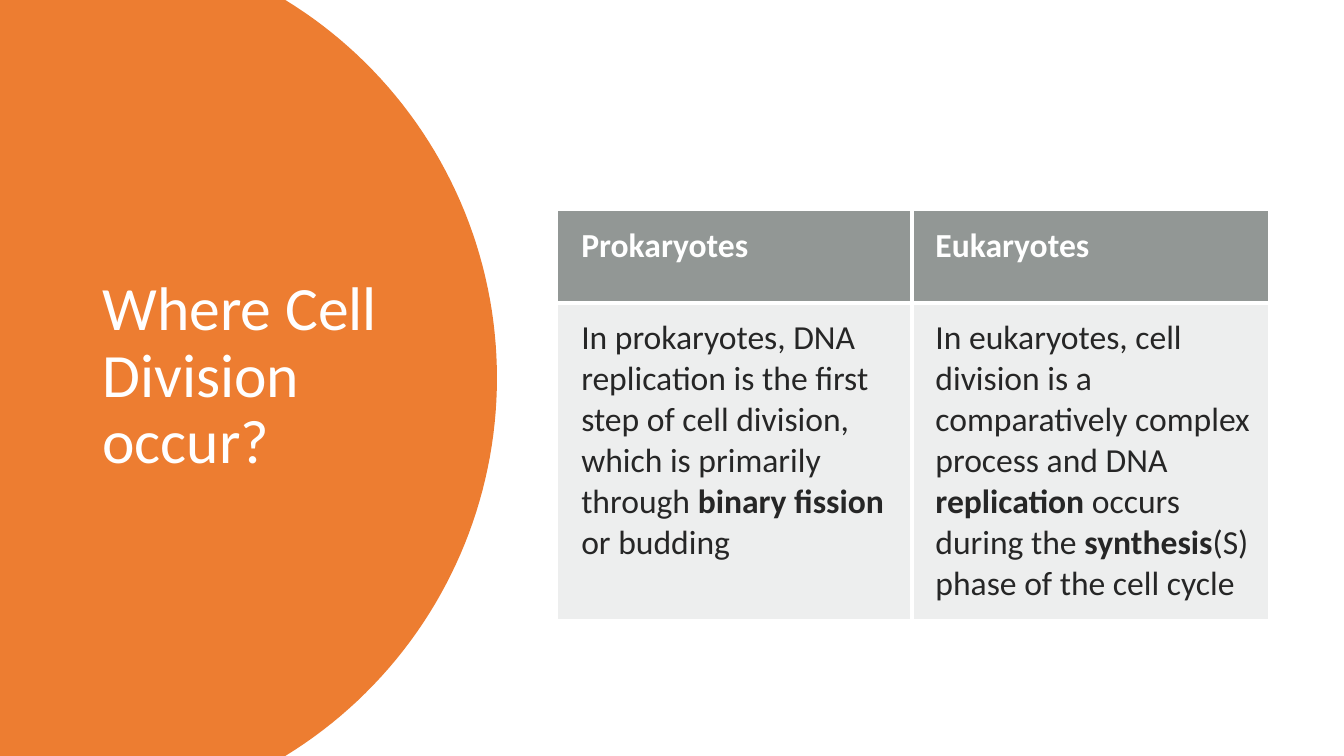
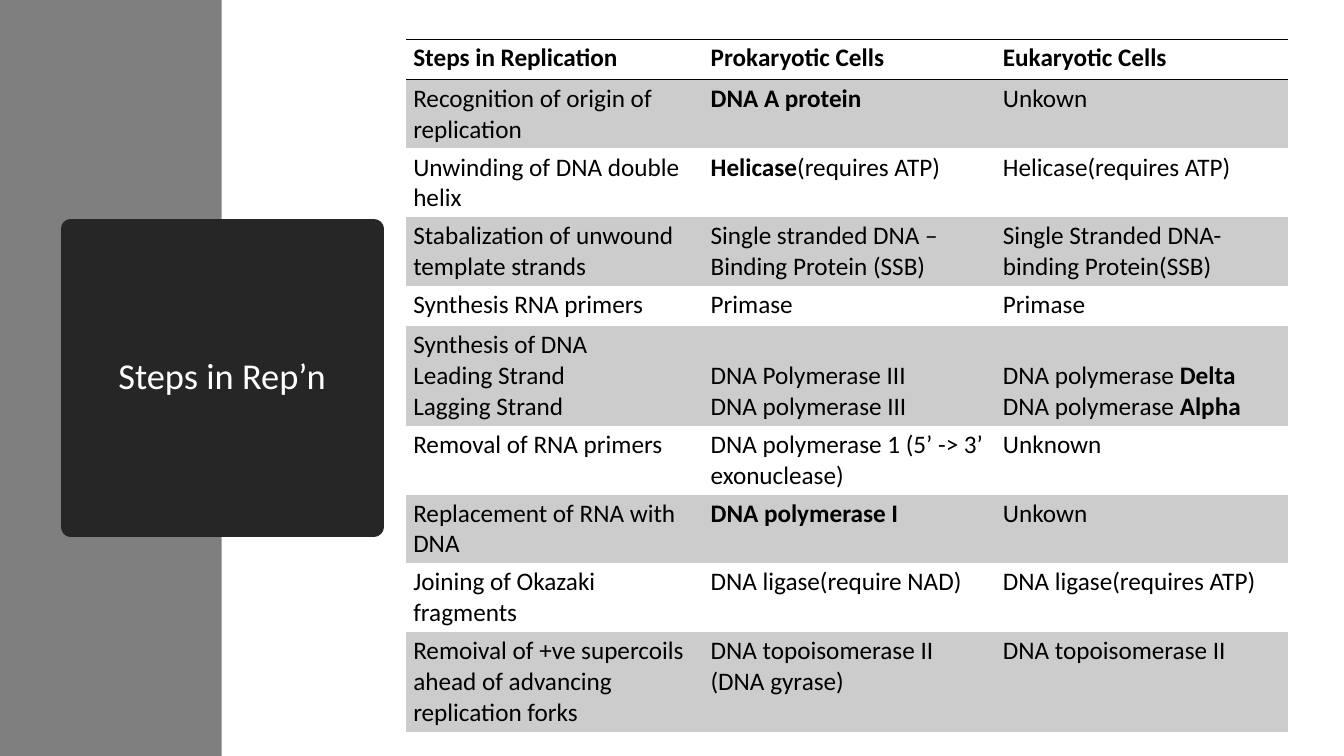
from dataclasses import dataclass
from math import asin, cos, sin
from lxml.etree import SubElement
from pptx import Presentation
from pptx.dml.color import RGBColor as RGB
from pptx.enum.shapes import MSO_SHAPE as Shape
from pptx.enum.text import MSO_ANCHOR as Anchor, MSO_AUTO_SIZE as Auto, PP_ALIGN as Align
from pptx.oxml.ns import qn
from pptx.util import Pt


@dataclass(frozen=True)
class Theme:
    """Colours, type sizes and page size shared by the slides."""
    font: str = "Calibri"
    white: str = "FFFFFF"
    black: str = "000000"
    dark: str = "262626"
    orange: str = "ED7D31"
    gray: str = "7F7F7F"
    head: str = "929795"
    pale: str = "EDEEEE"
    band: str = "CCCCCC"
    big: float = 44
    mid: float = 26
    text: float = 24
    small: float = 18
    wide: float = 960
    high: float = 540


@dataclass(frozen=True)
class Look:
    """Type, insets, fills and edges of one table."""
    size: float
    ink: str
    head_ink: str
    pads: tuple
    fills: tuple
    head_fill: str
    head_edges: dict
    body_edges: dict


T = Theme()
PLAIN = "{2D5ABB26-0587-4C30-8999-92F81FD0307C}"
SPLIT = Look(T.text, T.dark, T.white, (16.6, 10.2, 10.2, 10.2), (T.pale,), T.head,
             {"lnL": (T.white, 3), "lnR": (T.white, 3), "lnB": (T.white, 3)},
             {"lnL": (T.white, 3), "lnR": (T.white, 3), "lnT": (T.white, 3)})
STEPS = Look(T.small, T.black, T.black, (5.2, 2.6, 5.2, 2.6), (T.band, None), None,
             {"lnT": (T.black, 1), "lnB": (T.black, 1)}, {})
HIGHS = {1: 28.8, 2: 48.9, 3: 70.7}

CELLS = [
    ("Prokaryotes", "Eukaryotes"),
    ("In prokaryotes, DNA replication is the first step of cell division, "
     "which is primarily through **binary fission **or budding",
     "In eukaryotes, cell division is a comparatively complex process and DNA "
     "**replication** occurs during the **synthesis**(S) phase of the cell cycle"),
]
ROWS = [
    (1, "Steps in Replication", "Prokaryotic Cells", "Eukaryotic Cells"),
    (2, "Recognition of origin of replication", "**DNA A protein**", "Unkown"),
    (2, "Unwinding of DNA double helix", "**Helicase**(requires ATP)",
     "Helicase(requires ATP)"),
    (2, "Stabalization of unwound template strands",
     "Single stranded DNA –Binding Protein (SSB)",
     "Single Stranded DNA-binding Protein(SSB)"),
    (1, "Synthesis RNA primers", "Primase", "Primase"),
    (3, "Synthesis of DNA\nLeading Strand\nLagging Strand",
     "DNA Polymerase III\nDNA polymerase III",
     "DNA polymerase **Delta**\nDNA polymerase **Alpha**"),
    (2, "Removal of RNA primers", "DNA polymerase 1 (5’ -> 3’ exonuclease)", "Unknown"),
    (2, "Replacement of RNA with DNA", "**DNA polymerase I**", "Unkown"),
    (2, "Joining of Okazaki fragments", "DNA ligase(require NAD)",
     "DNA ligase(requires ATP)"),
    (3, "Remoival of +ve supercoils ahead of advancing replication forks",
     "DNA topoisomerase II\n(DNA gyrase)", "DNA topoisomerase II"),
]
STRANDS = 5


def paint(shape, hue):
    """Give a shape a flat fill with no line or shadow."""
    shape.shadow.inherit = False
    shape.fill.solid()
    shape.fill.fore_color.rgb = RGB.from_string(hue)
    shape.line.fill.background()


def style(font, size, hue, bold=False):
    """Set the shared face with a size, colour and weight."""
    font.name, font.size, font.bold = T.font, Pt(size), bold
    font.color.rgb = RGB.from_string(hue)


def head(slide, box, text, size, align, back):
    """Place the title in its box, in front of the backdrop."""
    title = slide.shapes.title
    title.left, title.top, title.width, title.height = map(Pt, box)
    frame = title.text_frame
    frame.text = text
    frame.word_wrap, frame.auto_size = True, Auto.NONE
    frame.vertical_anchor = Anchor.MIDDLE
    para = frame.paragraphs[0]
    para.alignment, para.line_spacing = align, 0.9
    style(para.runs[0].font, size, T.white)
    back.element.addnext(title.element)
    return title


def write(frame, text, size, hue, bold):
    """Write lines into a frame, with ** around bold words."""
    for i, line in enumerate(text.split("\n")):
        para = frame.add_paragraph() if i else frame.paragraphs[0]
        for j, part in enumerate(line.split("**")):
            if part:
                run = para.add_run()
                run.text = part
                style(run.font, size, hue, bold or j % 2 == 1)


def edge(cell, sides):
    """Draw the given sides of a cell in schema order."""
    props = cell._tc.get_or_add_tcPr()
    for side in ("lnL", "lnR", "lnT", "lnB"):
        if side in sides:
            hue, width = sides[side]
            line = SubElement(props, qn("a:" + side), w=str(Pt(width)))
            fill = SubElement(line, qn("a:solidFill"))
            SubElement(fill, qn("a:srgbClr"), val=hue)


def inner(sides, col, last):
    """Drop the outer left and right sides."""
    skip = {"lnL"} if col == 0 else {"lnR"} if col == last else set()
    return {side: pen for side, pen in sides.items() if side not in skip}


def grid(slide, spot, wides, highs, rows, look):
    """Place a table at a spot and return it."""
    box = (*spot, sum(wides), sum(highs))
    table = slide.shapes.add_table(len(rows), len(wides), *map(Pt, box)).table
    table.horz_banding = False
    table._tbl.tblPr.find(qn("a:tableStyleId")).text = PLAIN
    for col, wide in zip(table.columns, wides):
        col.width = Pt(wide)
    for r, (row, high) in enumerate(zip(rows, highs)):
        table.rows[r].height = Pt(high)
        top = r == 0
        fill = look.head_fill if top else look.fills[(r - 1) % len(look.fills)]
        sides = look.head_edges if top else look.body_edges
        for c, text in enumerate(row):
            cell = table.cell(r, c)
            (cell.margin_left, cell.margin_top,
             cell.margin_right, cell.margin_bottom) = map(Pt, look.pads)
            edge(cell, inner(sides, c, len(wides) - 1))
            if fill:
                cell.fill.solid()
                cell.fill.fore_color.rgb = RGB.from_string(fill)
            else:
                cell.fill.background()
            write(cell.text_frame, text, look.size, look.head_ink if top else look.ink, top)
    return table


def dome(slide, box, bulge):
    """Draw a panel whose right side is an arc bulging by a given depth."""
    left, top, wide, high = box
    half = high / 2
    rad = (half ** 2 + bulge ** 2) / (2 * bulge)
    turn, steps = asin(half / rad), 80
    mid = left + wide - rad
    angles = [turn * (2 * i / steps - 1) for i in range(steps + 1)]
    arc = [(Pt(mid + rad * cos(a)), Pt(top + half + rad * sin(a))) for a in angles]
    pen = slide.shapes.build_freeform(Pt(left), Pt(top))
    pen.add_line_segments(arc + [(Pt(left), Pt(top + high))], close=True)
    shape = pen.convert_to_shape()
    paint(shape, T.orange)
    return shape


def where(slide):
    """Build the slide that compares the two cell types."""
    back = dome(slide, (0, 0, 355, T.high), 151.2)
    head(slide, (66, 50.4, 232.6, 438.5), "Where Cell Division occur?",
         T.big, Align.LEFT, back)
    grid(slide, (398.6, 150.6), (253, 254), (66, 225), CELLS, SPLIT)


def steps(slide):
    """Build the slide that lists the replication steps."""
    back = slide.shapes.add_shape(Shape.RECTANGLE, 0, 0, Pt(158.4), Pt(T.high))
    paint(back, T.gray)
    title = head(slide, (50.4, 163.4, 216.7, 213.1), "Steps in Rep’n",
                 T.mid, Align.CENTER, back)
    title.fill.solid()
    title.fill.fore_color.rgb = RGB.from_string(T.dark)
    title.line.color.rgb = RGB.from_string(T.dark)
    title.line.width = Pt(13.75)
    highs = [HIGHS[row[0]] for row in ROWS]
    table = grid(slide, (290, 28.1), (212.4, 208.8, 208.8), highs,
                 [row[1:] for row in ROWS], STEPS)
    for col in (1, 2):
        table.cell(STRANDS, col).vertical_anchor = Anchor.BOTTOM


def main():
    """Build and save the deck."""
    deck = Presentation()
    deck.slide_width, deck.slide_height = Pt(T.wide), Pt(T.high)
    for build in (where, steps):
        build(deck.slides.add_slide(deck.slide_layouts[5]))
    deck.save("out.pptx")


if __name__ == "__main__":
    main()
